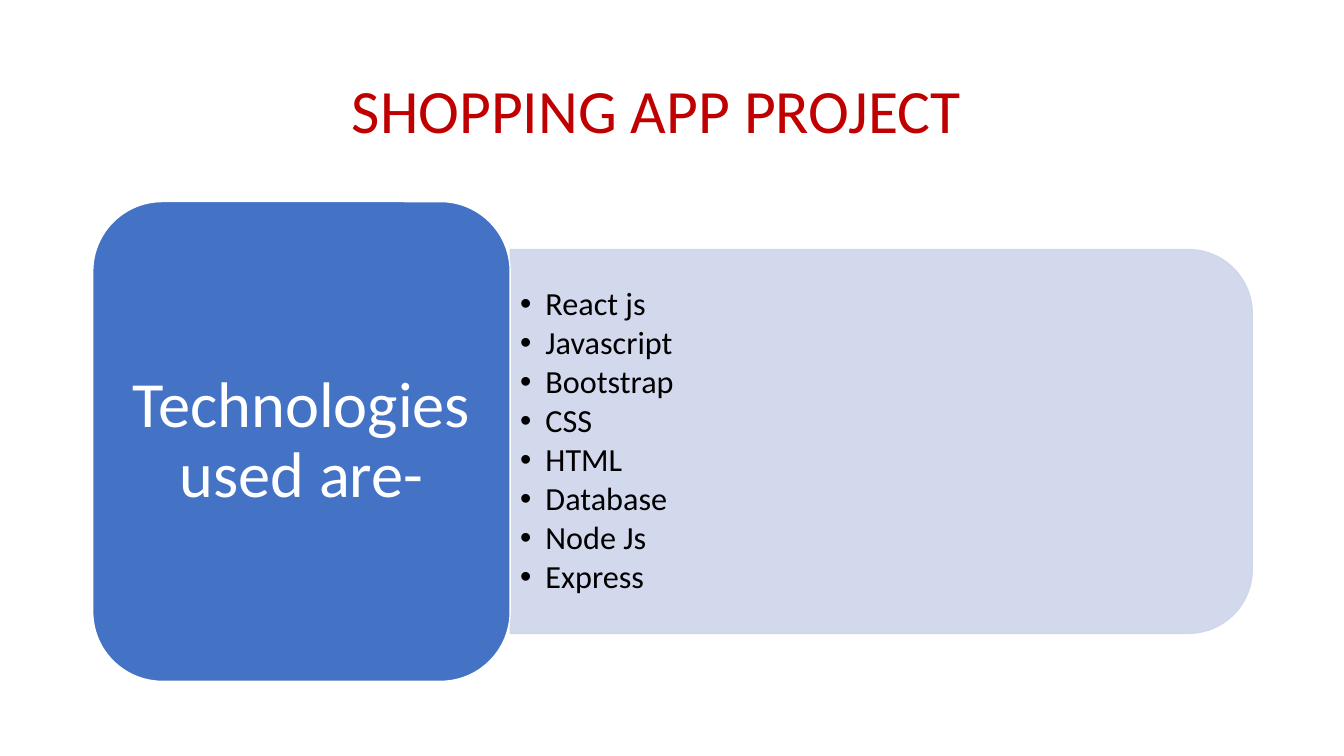
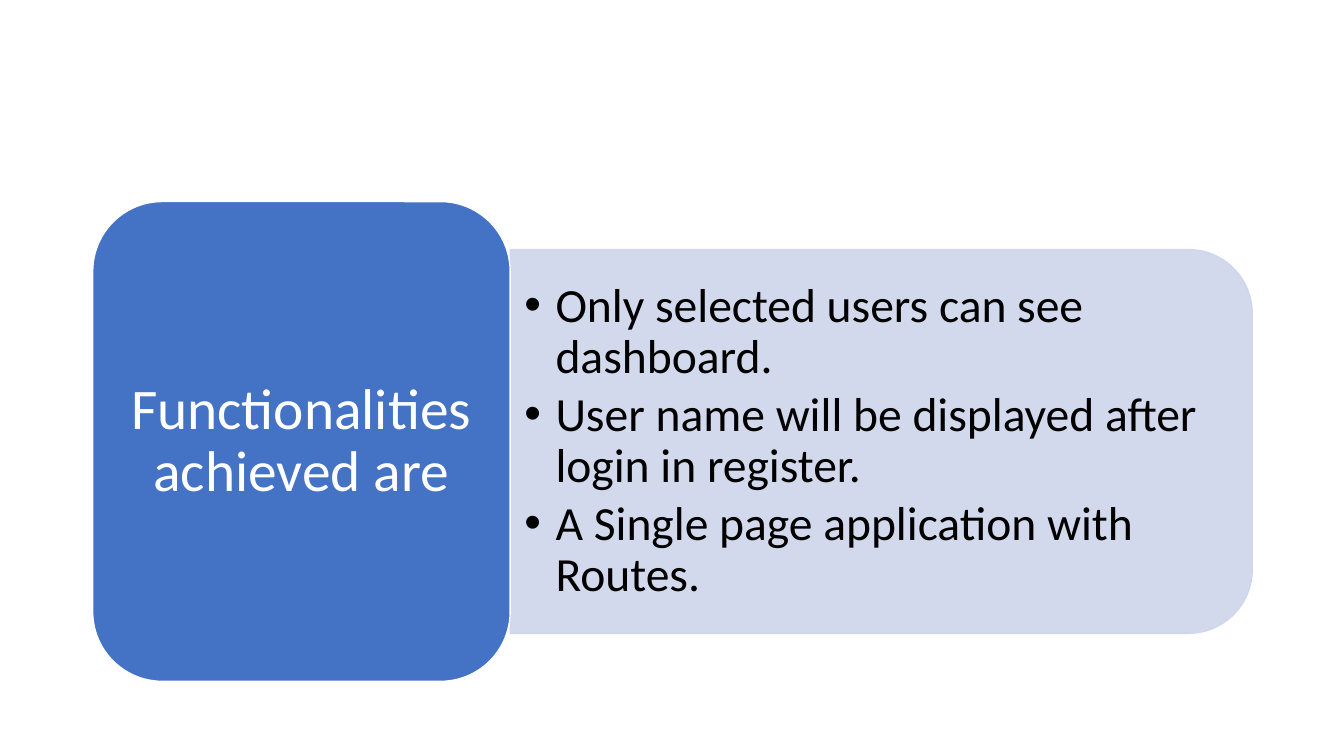
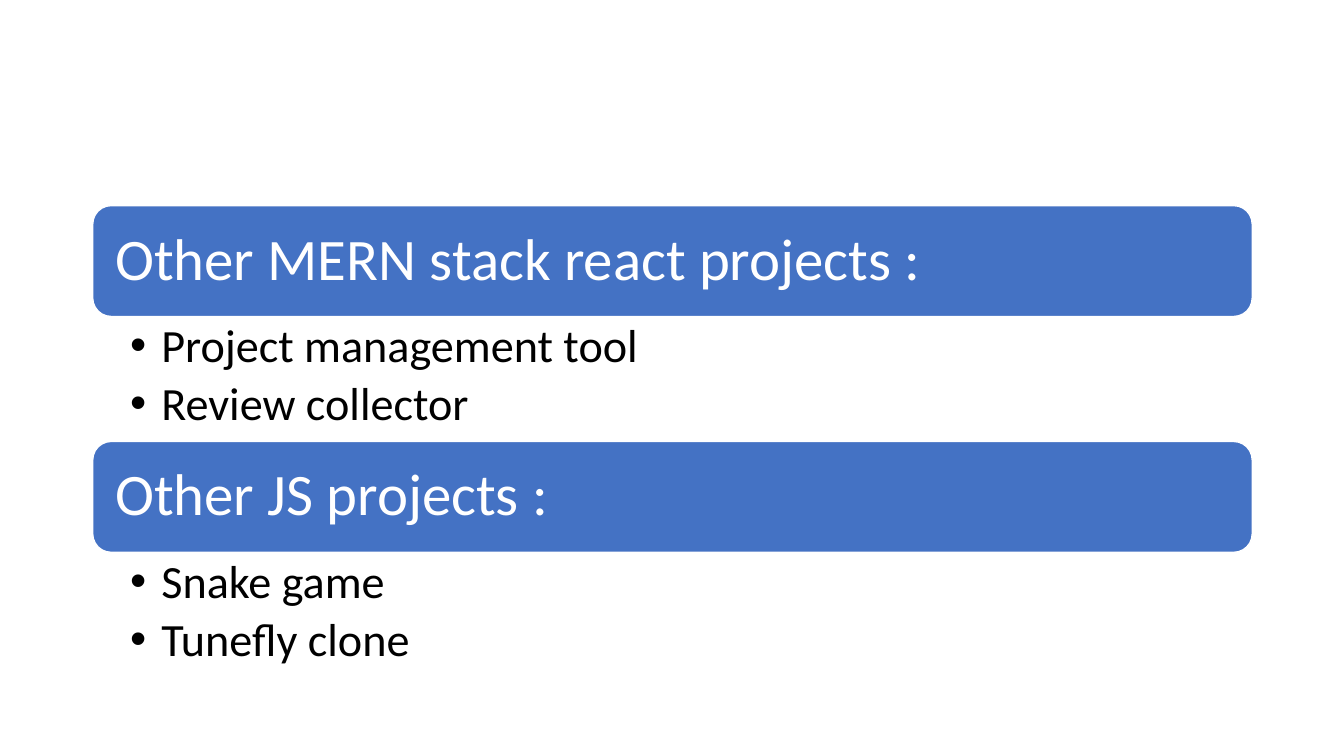
import pptx
import pptx.util
import pptx.dml.color
import pptx.enum.shapes
import pptx.enum.text
import pptx.oxml.ns
import lxml.etree

Inches, Pt = pptx.util.Inches, pptx.util.Pt
RGBColor = pptx.dml.color.RGBColor
MSO_SHAPE = pptx.enum.shapes.MSO_SHAPE
PP_ALIGN = pptx.enum.text.PP_ALIGN
MSO_ANCHOR = pptx.enum.text.MSO_ANCHOR
qn = pptx.oxml.ns.qn

FONT = "Calibri"
RED = RGBColor(0xC0, 0x00, 0x00)
BLUE = RGBColor(0x44, 0x72, 0xC4)
PALE = RGBColor(0xCF, 0xD5, 0xEA)
WHITE = RGBColor(0xFF, 0xFF, 0xFF)
BLACK = RGBColor(0x00, 0x00, 0x00)

# Content grid, in inches
LEFT, WIDTH = 0.92, 11.5
CARD_TOP, CARD_HEIGHT = 2, 4.76
CARD_WIDTH = 0.36 * WIDTH
PANEL_LEFT, PANEL_WIDTH = LEFT + CARD_WIDTH, WIDTH - CARD_WIDTH
PANEL_HEIGHT = 0.8 * CARD_HEIGHT
MIDDLE = CARD_TOP + CARD_HEIGHT / 2
LIST_WIDTH, LIST_HEIGHT = 7.17, 3.44
BAR_TOP, BAR_HEIGHT, BAR_LIST_HEIGHT = 2.04, 1.1, 1.24


def add_heading(slide, text, left, top, width, height, size, align):
    """Add a blue rounded box with white text."""
    box = slide.shapes.add_shape(MSO_SHAPE.ROUNDED_RECTANGLE, Inches(left),
                                 Inches(top), Inches(width), Inches(height))
    box.shadow.inherit = False
    box.fill.solid()
    box.fill.fore_color.rgb = BLUE
    box.line.color.rgb = WHITE
    box.line.width = Pt(1)
    frame = box.text_frame
    frame.word_wrap = True
    frame.vertical_anchor = MSO_ANCHOR.MIDDLE
    frame.margin_left = frame.margin_right = Inches(0.17)
    frame.text = text
    paragraph = frame.paragraphs[0]
    paragraph.alignment = align
    paragraph.line_spacing = 0.9
    paragraph.font.name, paragraph.font.size = FONT, Pt(size)
    paragraph.font.color.rgb = WHITE


def fill_list(body, items, left, top, width, height, size, inset, indent, gap, anchor):
    """Place a body placeholder in front of the other shapes and fill its bullets."""
    body.left, body.top = Inches(left), Inches(top)
    body.width, body.height = Inches(width), Inches(height)
    body.element.getparent().append(body.element)
    frame = body.text_frame
    frame.word_wrap = True
    frame.auto_size = pptx.enum.text.MSO_AUTO_SIZE.NONE
    frame.vertical_anchor = anchor
    frame.margin_left = frame.margin_right = Inches(inset)
    frame.margin_top = frame.margin_bottom = Inches(0.06)
    frame.text = "\n".join(items)
    for paragraph in frame.paragraphs:
        paragraph.line_spacing = 0.9
        paragraph.space_before = Pt(0)
        paragraph.space_after = Pt(round(gap * size, 1))
        paragraph.font.name, paragraph.font.size = FONT, Pt(size)
        paragraph.font.color.rgb = BLACK
        properties = paragraph._p.get_or_add_pPr()
        properties.set("marL", str(Inches(indent)))
        properties.set("indent", str(-Inches(indent)))


deck = pptx.Presentation()
deck.slide_width, deck.slide_height = Inches(13.33), Inches(7.5)
content_layout, two_lists_layout = deck.slide_layouts[1], deck.slide_layouts[3]

# Slides 1 and 2: a card beside a panel of bullets
card_slides = [
    ("SHOPPING APP PROJECT", "Technologies used are-", 46,
     ["React js", "Javascript", "Bootstrap", "CSS", "HTML", "Database", "Node Js",
      "Express"], 23, 0.1, 0.25),
    (None, "Functionalities achieved are", 41,
     ["Only selected users can see dashboard.",
      "User name will be displayed after login in register.",
      "A Single page application with Routes."], 34, 0.14, 0.31),
]
for heading, card_text, card_size, items, item_size, inset, indent in card_slides:
    slide = deck.slides.add_slide(content_layout)
    title = slide.shapes.title
    if heading:
        title.left, title.top = Inches(LEFT), Inches(0.4)
        title.width, title.height = Inches(WIDTH), Inches(1.45)
        title.text_frame.text = heading
        title.text_frame.margin_left = Inches(2.57)
        title.text_frame.vertical_anchor = MSO_ANCHOR.MIDDLE
        line = title.text_frame.paragraphs[0]
        line.alignment = PP_ALIGN.LEFT
        line.line_spacing = 0.9
        line.font.name, line.font.size = FONT, Pt(44)
        line.font.color.rgb = RED
    else:
        title.element.getparent().remove(title.element)

    # The panel is turned a quarter, so its width and height swap about its centre
    panel = slide.shapes.add_shape(
        MSO_SHAPE.ROUND_2_SAME_RECTANGLE,
        Inches(PANEL_LEFT + (PANEL_WIDTH - PANEL_HEIGHT) / 2),
        Inches(MIDDLE - PANEL_WIDTH / 2), Inches(PANEL_HEIGHT), Inches(PANEL_WIDTH))
    panel.rotation = 90
    panel.shadow.inherit = False
    panel.fill.solid()
    panel.fill.fore_color.rgb = PALE
    panel.line.color.rgb = PALE
    panel.line.width = Pt(1)
    for colour in panel.element.spPr.iter(qn("a:srgbClr")):
        lxml.etree.SubElement(colour, qn("a:alpha")).set("val", "90000")

    fill_list(slide.placeholders[1], items, PANEL_LEFT, MIDDLE - LIST_HEIGHT / 2,
              LIST_WIDTH, LIST_HEIGHT, item_size, inset, indent, 0.13, MSO_ANCHOR.MIDDLE)
    add_heading(slide, card_text, LEFT, CARD_TOP, CARD_WIDTH, CARD_HEIGHT, card_size,
                PP_ALIGN.CENTER)

# Slide 3: bars, each with a list below
project_groups = [
    ("Other MERN stack react projects :", ["Project management tool", "Review collector"]),
    ("Other JS projects :", ["Snake game", "Tunefly clone"]),
]
slide = deck.slides.add_slide(two_lists_layout)
slide.shapes.title.element.getparent().remove(slide.shapes.title.element)
for row, (group, projects) in enumerate(project_groups):
    top = BAR_TOP + row * (BAR_HEIGHT + BAR_LIST_HEIGHT)
    add_heading(slide, group, LEFT, top, WIDTH, BAR_HEIGHT, 42, PP_ALIGN.LEFT)
    fill_list(slide.placeholders[row + 1], projects, LEFT, top + BAR_HEIGHT, WIDTH,
              BAR_LIST_HEIGHT, 33, 0.37, 0.31, 0.18, MSO_ANCHOR.TOP)

deck.save("out.pptx")
